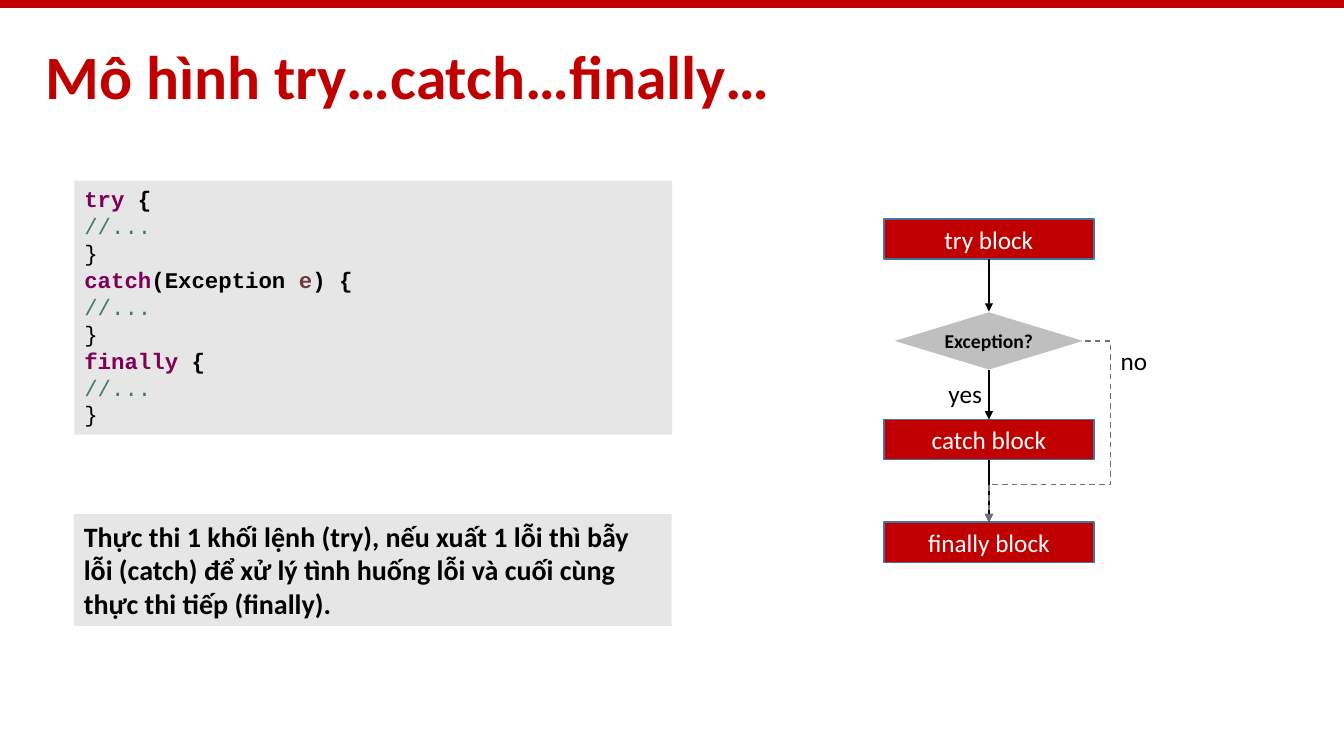
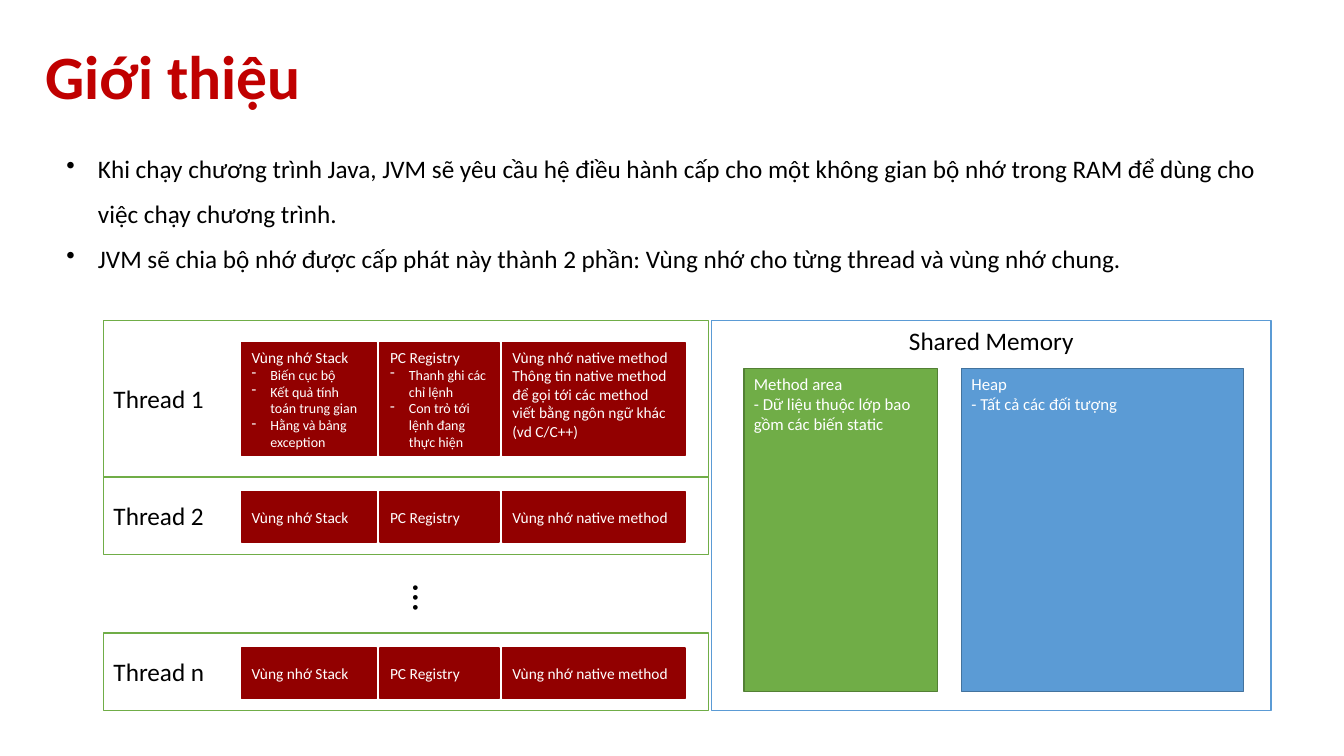
from lxml import etree
from pptx import Presentation
from pptx.dml.color import RGBColor
from pptx.enum.dml import MSO_LINE
from pptx.enum.shapes import MSO_CONNECTOR, MSO_SHAPE
from pptx.enum.text import MSO_ANCHOR, PP_ALIGN
from pptx.oxml.ns import qn
from pptx.util import Pt

RECTANGLE, DIAMOND = MSO_SHAPE.RECTANGLE, MSO_SHAPE.DIAMOND
STRAIGHT, ELBOW = MSO_CONNECTOR.STRAIGHT, MSO_CONNECTOR.ELBOW
LEFT, CENTER = PP_ALIGN.LEFT, PP_ALIGN.CENTER
TOP, MIDDLE = MSO_ANCHOR.TOP, MSO_ANCHOR.MIDDLE
DASH = MSO_LINE.DASH

RED, DARK_RED, GREEN, BLUE = "C00000", "920000", "70AD47", "5B9BD5"
DARK_GREEN, DARK_BLUE = "538035", "43739E"
BLACK, WHITE, PALE_GRAY, GRAY, DARK_GRAY = "000000", "FFFFFF", "E7E6E6", "BFBFBF", "767171"
KEYWORD, COMMENT, VARIABLE = "7F0055", "3F7F5F", "6A3E3E"

SLIDE_WIDTH, SLIDE_HEIGHT = 960, 540


def rgb(color):
    return RGBColor.from_string(color)


def add_box(slide, bounds, paragraphs, size=18, color=BLACK, fill=None, line=None, kind=RECTANGLE,
            align=LEFT, anchor=TOP, bold=False, wrap=True, font="Calibri"):
    """Add a text box, or a shape if filled; a paragraph is a string or a list of (text, color, bold)."""
    bounds = [Pt(length) for length in bounds]
    if fill is None:
        shape = slide.shapes.add_textbox(*bounds)
    else:
        shape = slide.shapes.add_shape(kind, *bounds)
        shape.shadow.inherit = False
        shape.fill.solid()
        shape.fill.fore_color.rgb = rgb(fill)
        if line is None:
            shape.line.fill.background()
        else:
            shape.line.color.rgb = rgb(line)
            shape.line.width = Pt(1)
    frame = shape.text_frame
    frame.word_wrap = wrap
    frame.vertical_anchor = anchor
    for index, content in enumerate(paragraphs):
        paragraph = frame.add_paragraph() if index else frame.paragraphs[0]
        paragraph.alignment = align
        paragraph.font.name = font
        paragraph.font.size = Pt(size)
        paragraph.font.bold = bold
        paragraph.font.color.rgb = rgb(color)
        if isinstance(content, str):
            paragraph.add_run().text = content
            continue
        for text, run_color, run_bold in content:
            run = paragraph.add_run()
            run.text = text
            run.font.color.rgb = rgb(run_color)
            run.font.bold = run_bold
    return shape


presentation = Presentation()
presentation.slide_width = Pt(SLIDE_WIDTH)
presentation.slide_height = Pt(SLIDE_HEIGHT)
slides = []
for title in ("Mô hình try…catch…finally…", "Giới thiệu"):
    slide = presentation.slides.add_slide(presentation.slide_layouts[6])
    frame = add_box(slide, (32.4, 43.2, 895, 28.8), [title], size=44, color=RED,
                    anchor=MIDDLE, bold=True).text_frame
    frame.margin_left = frame.margin_right = frame.margin_top = frame.margin_bottom = 0
    frame.paragraphs[0].line_spacing = 0.85
    slides.append(slide)
flow_slide, memory_slide = slides

# Slide 1: code, explanation and flowchart
add_box(flow_slide, (0, 0, SLIDE_WIDTH, 5.6), [], fill=RED)

comment = [("//...", COMMENT, False)]
brace = [("}", BLACK, False)]
code = [
    [("try", KEYWORD, True), (" {", BLACK, True)], comment, brace,
    [("catch", KEYWORD, True), ("(Exception ", BLACK, True), ("e", VARIABLE, True),
     (") {", BLACK, True)], comment, brace,
    [("finally", KEYWORD, True), (" {", BLACK, True)], comment, brace,
]
add_box(flow_slide, (53.2, 129, 427, 181.4), code, size=16, fill=PALE_GRAY, font="Courier New")
add_box(flow_slide, (52.8, 367.2, 427, 80),
        ["Thực thi 1 khối lệnh (try), nếu xuất 1 lỗi thì bẫy lỗi (catch) để xử lý "
         "tình huống lỗi và cuối cùng thực thi tiếp (finally)."],
        size=20, fill=PALE_GRAY, bold=True)

FLOW_CENTER, BLOCK_WIDTH, CHOICE_WIDTH = 706.4, 150, 137.6
try_block, catch_block, finally_block = [
    add_box(flow_slide, (FLOW_CENTER - BLOCK_WIDTH / 2, top, BLOCK_WIDTH, 28.8), [name + " block"],
            color=WHITE, fill=RED, line=DARK_BLUE, align=CENTER, anchor=MIDDLE)
    for name, top in (("try", 156.4), ("catch", 299.6), ("finally", 373))
]
choice = add_box(flow_slide, (FLOW_CENTER - CHOICE_WIDTH / 2, 222.6, CHOICE_WIDTH, 41.8),
                 ["Exception?"], size=14, fill=GRAY, line=WHITE, kind=DIAMOND,
                 align=CENTER, anchor=MIDDLE, bold=True, wrap=False)
choice.line.width = Pt(0.75)

for kind, start, start_side, end, color in (
    (STRAIGHT, try_block, 2, choice, BLACK),
    (STRAIGHT, choice, 2, catch_block, BLACK),
    (STRAIGHT, catch_block, 2, finally_block, BLACK),
    (ELBOW, choice, 3, finally_block, DARK_GRAY),
):
    arrow = flow_slide.shapes.add_connector(kind, 0, 0, 0, 0)
    arrow.begin_connect(start, start_side)
    arrow.end_connect(end, 0)
    arrow.line.color.rgb = rgb(color)
    arrow.line.width = Pt(1)
    properties = arrow.element.spPr
    if kind == ELBOW:
        arrow.line.dash_style = DASH
        geometry = properties.find(qn("a:prstGeom"))
        geometry.set("prst", "bentConnector4")
        guides = geometry.find(qn("a:avLst"))
        for name, value in (("adj1", -26400), ("adj2", 79300)):
            etree.SubElement(guides, qn("a:gd"), name=name, fmla=f"val {value}")
    etree.SubElement(properties.find(qn("a:ln")), qn("a:tailEnd"), type="triangle")
    etree.SubElement(properties, qn("a:effectLst"))

add_box(flow_slide, (670.4, 266.4, 38.8, 28.8), ["yes"], wrap=False)
add_box(flow_slide, (793.4, 243.4, 33.8, 28.8), ["no"], wrap=False)

# Slide 2: memory areas
intro = add_box(memory_slide, (40.4, 95, 875.6, 105), [
    "Khi chạy chương trình Java, JVM sẽ yêu cầu hệ điều hành cấp cho một không gian bộ nhớ "
    "trong RAM để dùng cho việc chạy chương trình.",
    "JVM sẽ chia bộ nhớ được cấp phát này thành 2 phần: Vùng nhớ cho từng thread và vùng nhớ chung.",
])
bulleted = []
for paragraph in intro.text_frame.paragraphs:
    paragraph.line_spacing = 1.5
    bulleted.append((paragraph, "•", 22.5))

areas = [
    ("Vùng nhớ Stack", 96.5, 10,
     ["Biến cục bộ", "Kết quả tính toán trung gian", "Hằng và bảng exception"]),
    ("PC Registry", 85, 10, ["Thanh ghi các chỉ lệnh", "Con trỏ tới lệnh đang thực hiện"]),
    ("Vùng nhớ native method", 130.4, 11,
     ["Thông tin native method để gọi tới các method viết bằng ngôn ngữ khác (vd C/C++)"]),
]
AREA_GAP = 2.4
for name, top, height, area_top, area_height, detailed in (
    ("Thread 1", 229, 111.6, 244.8, 80.6, True),
    ("Thread 2", 340.6, 55.4, 351.2, 36, False),
    ("Thread n", 452.2, 55.4, 462.8, 36, False),
):
    add_box(memory_slide, (74, top, 432, height), [name], fill=WHITE, line=GREEN, anchor=MIDDLE)
    left = 172.6
    for heading, width, detail_size, details in areas:
        area = add_box(memory_slide, (left, area_top, width, area_height),
                       [heading] + (details if detailed else []), size=11, color=WHITE,
                       fill=DARK_RED, line=DARK_RED, anchor=TOP if detailed else MIDDLE)
        for paragraph in area.text_frame.paragraphs[1:]:
            paragraph.font.size = Pt(detail_size)
            if len(details) > 1:
                bulleted.append((paragraph, "-", 13.5))
        left += width + AREA_GAP

ellipsis = add_box(memory_slide, (278.6, 410.4, 48.2, 26.6), ["…"], size=28, wrap=False)
ellipsis.text_frame._txBody.bodyPr.set("vert", "vert")

add_box(memory_slide, (508.2, 229, 399.8, 278.6), ["Shared Memory"], fill=WHITE, line=BLUE,
        align=CENTER)
for left, width, fill, line, lines in (
    (531.4, 138.4, GREEN, DARK_GREEN,
     ["Method area", "- Dữ liệu thuộc lớp bao gồm các biến static"]),
    (686.8, 201.6, BLUE, DARK_BLUE, ["Heap", "- Tất cả các đối tượng"]),
):
    add_box(memory_slide, (left, 263.4, width, 230.4), lines, size=12, color=WHITE,
            fill=fill, line=line)

for paragraph, character, indent in bulleted:
    properties = paragraph._p.get_or_add_pPr()
    properties.set("marL", str(Pt(indent)))
    properties.set("indent", str(-Pt(indent)))
    bullet = etree.Element(qn("a:buChar"), char=character)
    properties.find(qn("a:defRPr")).addprevious(bullet)

presentation.save("out.pptx")
